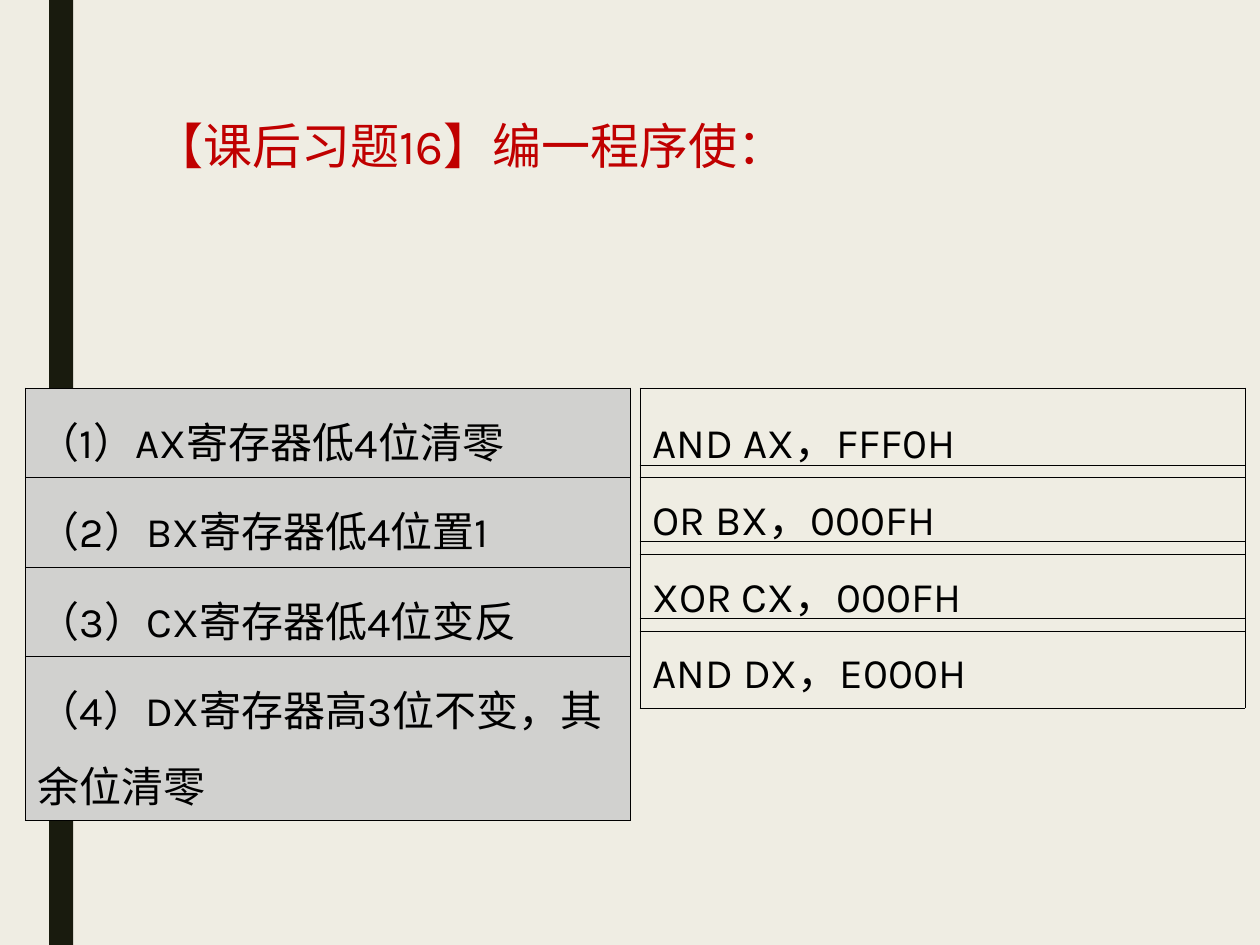
from lxml import etree
from pptx import Presentation
from pptx import util as u
from pptx.dml.color import RGBColor
from pptx.enum import shapes, text
from pptx.oxml import ns

FONT = "Karla"
TASKS = [
    "（1）AX寄存器低4位清零",
    "（2）BX寄存器低4位置1",
    "（3）CX寄存器低4位变反",
    "（4）DX寄存器高3位不变，其余位清零",
]
ANSWERS = ["AND AX，FFF0H", "OR BX，000FH", "XOR CX，000FH", "AND DX，E000H"]
ROW_HEIGHT = 0.71
ANSWER_STEP = 0.61


def color(value):
    return RGBColor.from_string(value)


def write(frame, words, size=24, fill="000000", spacing=1.25):
    frame.word_wrap = True
    para = frame.paragraphs[0]
    para.alignment = text.PP_ALIGN.LEFT
    para.line_spacing = spacing
    # Keep punctuation inside the margin
    para._p.get_or_add_pPr().set("hangingPunct", "0")
    span = para.add_run()
    span.text = words
    span.font.name = FONT
    span.font.size = u.Pt(size)
    span.font.color.rgb = color(fill)


def add_borders(cell, line="000000", width=0.45):
    props = cell._tc.get_or_add_tcPr()
    for index, side in enumerate(("lnL", "lnR", "lnT", "lnB")):
        edge = etree.Element(ns.qn(f"a:{side}"), w=str(u.Pt(width)))
        solid = etree.SubElement(edge, ns.qn("a:solidFill"))
        etree.SubElement(solid, ns.qn("a:srgbClr"), val=line)
        props.insert(index, edge)


def add_backdrop(page):
    page.background.fill.solid()
    page.background.fill.fore_color.rgb = color("EFEDE3")
    bar = page.shapes.add_shape(shapes.MSO_SHAPE.RECTANGLE, u.Inches(0.39), 0,
                                u.Inches(0.19), u.Inches(7.5))
    bar.shadow.inherit = False
    bar.fill.solid()
    bar.fill.fore_color.rgb = color("191B0E")
    bar.line.fill.background()


def add_title(page, left, top, width, height):
    box = page.shapes.add_textbox(*map(u.Inches, (left, top, width, height)))
    write(box.text_frame, "【课后习题16】编一程序使：", size=28, fill="C00000")


def add_list_table(page, left, top, width, heights, lines, fill=None):
    frame = page.shapes.add_table(
        len(lines), 1, *map(u.Inches, (left, top, width, sum(heights))))
    table = frame.table
    table.first_row = table.horz_banding = False
    for row, height, line in zip(table.rows, heights, lines):
        row.height = u.Inches(height)
        cell = row.cells[0]
        write(cell.text_frame, line)
        if fill:
            cell.fill.solid()
            cell.fill.fore_color.rgb = color(fill)
        else:
            cell.fill.background()
        add_borders(cell)


def main():
    deck = Presentation()
    deck.slide_width, deck.slide_height = u.Inches(10), u.Inches(7.5)
    page = deck.slides.add_slide(deck.slide_layouts[6])

    add_backdrop(page)
    add_title(page, 1.13, 0.75, 7.87, 1.63)

    # Tasks on the left, one table per answer on the right
    add_list_table(page, 0.2, 3.08, 4.8, [ROW_HEIGHT] * 3 + [1.3], TASKS, fill="D1D1CF")
    for index, answer in enumerate(ANSWERS):
        add_list_table(page, 5.08, 3.08 + index * ANSWER_STEP, 4.8, [ROW_HEIGHT], [answer])

    deck.save("out.pptx")


if __name__ == "__main__":
    main()
